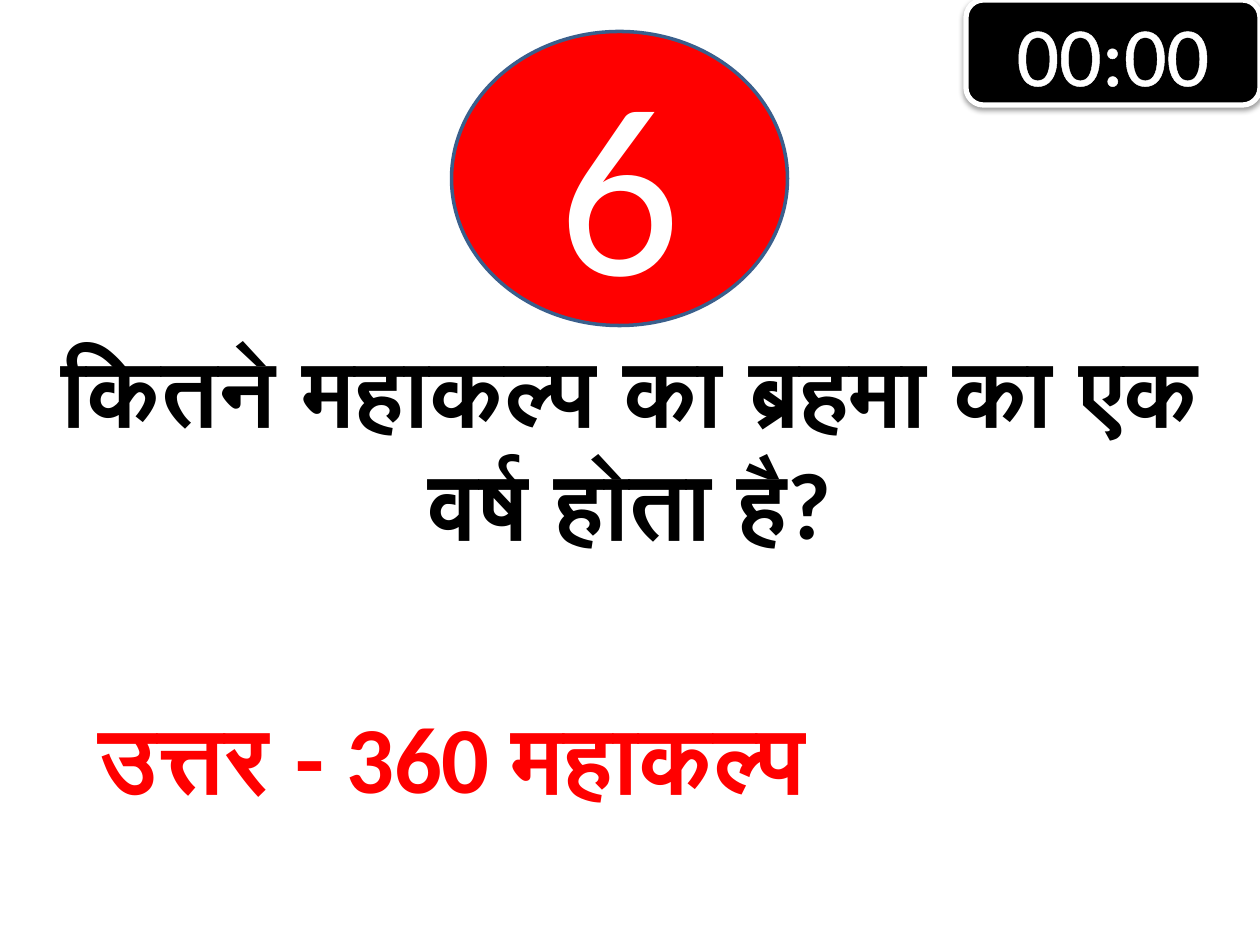
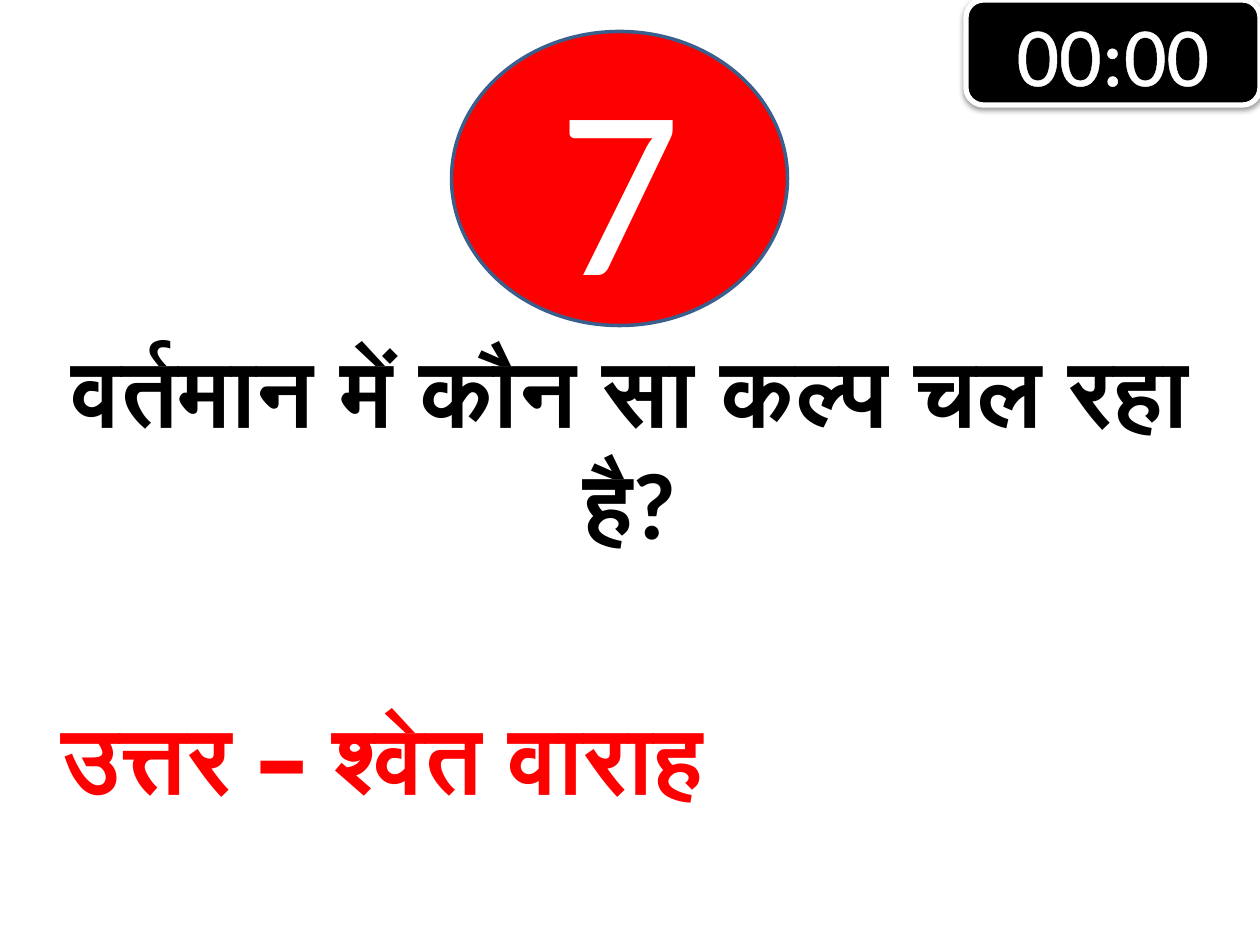
from lxml.etree import Element, SubElement
from pptx import Presentation
from pptx.dml.color import RGBColor as Rgb
from pptx.enum.shapes import MSO_SHAPE as Shape
from pptx.enum.text import MSO_ANCHOR as Anchor, MSO_AUTO_SIZE as Fit, PP_ALIGN as Align
from pptx.oxml.ns import qn
from pptx.util import Inches, Pt

WIDTH, HEIGHT = 10, 7.5
COLS, ROWS = 120, 90
FONT = "Calibri"
COLORS = {
    "accent": "FF0000",
    "rim": "3A5F8C",
    "dark": "000000",
    "light": "FFFFFF",
}
QUESTIONS = [
    ("6", "कितने महाकल्प का ब्रहमा का एक वर्ष होता है?", "उत्तर - 360 महाकल्प", 86.16),
    ("7", "वर्तमान में कौन सा कल्प चल रहा है?", "उत्तर – श्वेत वाराह", 72.84),
]


def color(name):
    return Rgb.from_string(COLORS[name])


def grid(col, row, cols, rows):
    across, down = WIDTH / COLS, HEIGHT / ROWS
    return [Inches(n) for n in (col * across, row * down, cols * across, rows * down)]


def place(element, cell):
    element.left, element.top, element.width, element.height = grid(*cell)


def outline_text(run, ink, width):
    line = Element(qn("a:ln"), w=str(Pt(width)))
    fill = SubElement(line, qn("a:solidFill"))
    SubElement(fill, qn("a:srgbClr"), val=COLORS[ink])
    run.font._element.insert(0, line)


def write(frame, words, size, ink, bold=False, outline=None):
    paragraph = frame.paragraphs[0]
    paragraph.alignment = Align.CENTER
    run = paragraph.add_run()
    run.text = words
    font = run.font
    font.name, font.size, font.bold = FONT, Pt(size), bold
    font.color.rgb = color(ink)
    if outline:
        outline_text(run, ink, outline)


def add_badge(slide, kind, cell, fill, rim, rim_width):
    badge = slide.shapes.add_shape(kind, *grid(*cell))
    badge.shadow.inherit = False
    badge.fill.solid()
    badge.fill.fore_color.rgb = color(fill)
    badge.line.color.rgb = color(rim)
    badge.line.width = Pt(rim_width)
    badge.text_frame.vertical_anchor = Anchor.MIDDLE
    return badge


def drop_shadow(badge):
    effects = badge._element.spPr.find(qn("a:effectLst"))
    shadow = SubElement(effects, qn("a:outerShdw"), blurRad=str(Pt(3.1)),
                        dist=str(Pt(1.6)), dir="5400000", rotWithShape="0")
    shade = SubElement(shadow, qn("a:srgbClr"), val=COLORS["dark"])
    SubElement(shade, qn("a:alpha"), val="38000")


def add_number(slide, number):
    circle = add_badge(slide, Shape.OVAL, (43, 3, 32, 28), "accent", "rim", 2)
    write(circle.text_frame, number, 138, "light")


def add_timer(slide):
    timer = add_badge(slide, Shape.ROUNDED_RECTANGLE, (92, 0, 28, 10), "dark", "light", 3)
    drop_shadow(timer)
    write(timer.text_frame, "00:00", 48, "light", outline=1.45)


def add_question(slide, question):
    title = slide.shapes.title
    place(title, (0, 31, COLS, 23))
    frame = title.text_frame
    frame.vertical_anchor = Anchor.TOP
    frame.auto_size = Fit.SHAPE_TO_FIT_TEXT
    write(frame, question, 54, "dark", bold=True, outline=1.42)


def add_answer(slide, answer, cols):
    frame = slide.shapes.add_textbox(*grid(0, 66, cols, 12.12)).text_frame
    frame.word_wrap = False
    frame.auto_size = Fit.SHAPE_TO_FIT_TEXT
    write(frame, answer, 54, "accent", bold=True, outline=1.42)


def main():
    deck = Presentation()
    deck.slide_width, deck.slide_height = Inches(WIDTH), Inches(HEIGHT)
    title_only = deck.slide_layouts.get_by_name("Title Only")
    for number, question, answer, answer_cols in QUESTIONS:
        slide = deck.slides.add_slide(title_only)
        add_number(slide, number)
        add_timer(slide)
        add_question(slide, question)
        add_answer(slide, answer, answer_cols)
    deck.save("out.pptx")


main()
